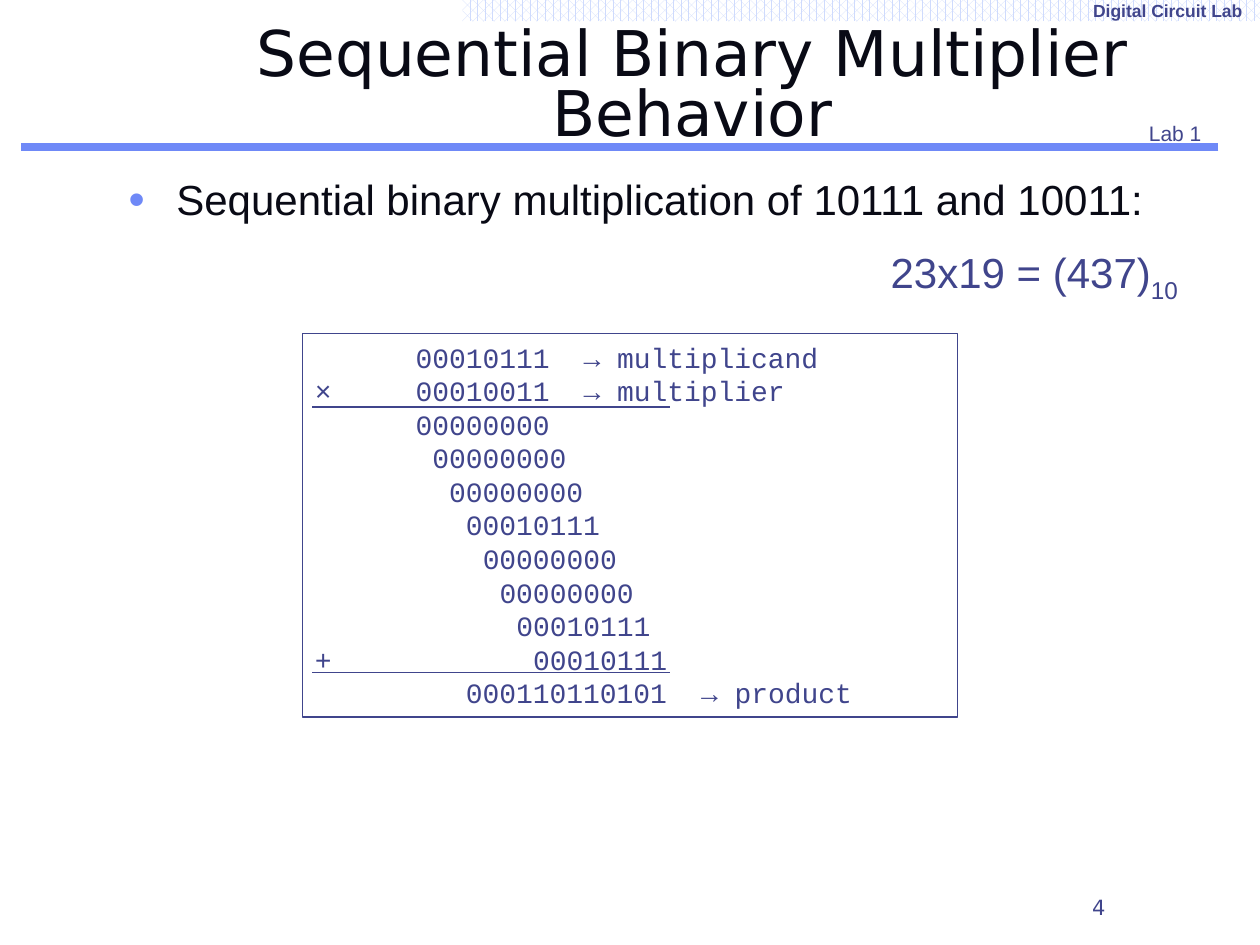
from dataclasses import dataclass

from lxml.etree import SubElement
from pptx import Presentation
from pptx.dml.color import RGBColor
from pptx.enum.dml import MSO_PATTERN
from pptx.enum.shapes import MSO_CONNECTOR, MSO_SHAPE
from pptx.enum.text import MSO_ANCHOR as Anchor, MSO_AUTO_SIZE, PP_ALIGN as Align
from pptx.oxml.ns import qn
from pptx.util import Inches, Pt


@dataclass(frozen=True)
class Theme:
    ink: RGBColor = RGBColor.from_string("090A15")
    navy: RGBColor = RGBColor.from_string("40458C")
    blue: RGBColor = RGBColor.from_string("6F89F7")
    pale: RGBColor = RGBColor.from_string("CFDBFD")
    white: RGBColor = RGBColor.from_string("FFFFFF")
    heading_font: str = "DejaVu Sans"
    text_font: str = "Arial"
    code_font: str = "Courier New"
    title_size: int = 36
    body_size: int = 24
    code_size: int = 16
    label_size: int = 12
    band_size: int = 10


THEME = Theme()

# sign, digits, first character column of the digits, note
ROWS = [
    ("", "00010111", 6, "multiplicand"),
    ("×", "00010011", 6, "multiplier"),
    ("", "00000000", 6, ""),
    ("", "00000000", 7, ""),
    ("", "00000000", 8, ""),
    ("", "00010111", 9, ""),
    ("", "00000000", 10, ""),
    ("", "00000000", 11, ""),
    ("", "00010111", 12, ""),
    ("+", "00010111", 13, ""),
    ("", "000110110101", 9, "product"),
]


def style(paragraph, font_name, size, color, bold=False, align=Align.LEFT):
    paragraph.alignment = align
    for run in paragraph.runs:
        run.font.name = font_name
        run.font.size = Pt(size)
        run.font.color.rgb = color
        run.font.bold = bold


def place(shape, box):
    shape.left, shape.top, shape.width, shape.height = map(Inches, box)


def add_line(slide, start, end, color, width):
    line = slide.shapes.add_connector(
        MSO_CONNECTOR.STRAIGHT, *map(Inches, (*start, *end)))
    line.line.color.rgb = color
    line.line.width = Pt(width)
    SubElement(line._element.spPr, qn("a:effectLst"))


def add_label(slide, box, text, font_name, size, anchor=Anchor.TOP, align=Align.LEFT):
    frame = slide.shapes.add_textbox(*map(Inches, box)).text_frame
    frame.word_wrap = True
    frame.vertical_anchor = anchor
    frame.text = text
    style(frame.paragraphs[0], font_name, size, THEME.navy, align=align)
    return frame.paragraphs[0]


def add_band(slide, box):
    band = slide.shapes.add_shape(MSO_SHAPE.RECTANGLE, *map(Inches, box))
    band.shadow.inherit = False
    band.line.fill.background()
    band.fill.patterned()
    band.fill.pattern = MSO_PATTERN.PERCENT_60
    band.fill.fore_color.rgb = THEME.pale
    band.fill.back_color.rgb = THEME.white
    frame = band.text_frame
    frame.word_wrap = False
    frame.margin_right = Inches(0.14)
    frame.vertical_anchor = Anchor.MIDDLE
    frame.text = "Digital Circuit Lab"
    style(frame.paragraphs[0], THEME.text_font, THEME.band_size, THEME.navy,
          bold=True, align=Align.RIGHT)


def fill_title(title, box):
    place(title, box)
    frame = title.text_frame
    frame.auto_size = MSO_AUTO_SIZE.NONE
    frame.vertical_anchor = Anchor.BOTTOM
    frame.text = "Sequential Binary Multiplier Behavior"
    frame.paragraphs[0].line_spacing = 0.8
    style(frame.paragraphs[0], THEME.heading_font, THEME.title_size, THEME.ink,
          align=Align.CENTER)


def fill_body(body, box):
    place(body, box)
    frame = body.text_frame
    frame.auto_size = MSO_AUTO_SIZE.NONE
    frame.text = "Sequential binary multiplication of 10111 and 10011:"
    paragraph = frame.paragraphs[0]
    style(paragraph, THEME.text_font, THEME.body_size, THEME.ink)
    properties = paragraph._p.get_or_add_pPr()
    properties.set("marL", str(Inches(0.38)))
    properties.set("indent", str(-Inches(0.38)))
    bullet_color = SubElement(properties, qn("a:buClr"))
    SubElement(bullet_color, qn("a:srgbClr"), val=str(THEME.blue))
    SubElement(properties, qn("a:buSzPct"), val="110000")
    SubElement(properties, qn("a:buChar"), char="•")


def set_tab_columns(paragraph, columns):
    """Put tab stops at character columns of the monospaced font."""
    character = Pt(THEME.code_size * 0.6)
    tabs = SubElement(paragraph._p.get_or_add_pPr(), qn("a:tabLst"))
    for column in columns:
        SubElement(tabs, qn("a:tab"), pos=str(column * character), algn="l")


def add_calculation(slide, box):
    left, top, _, _ = box
    panel = slide.shapes.add_shape(MSO_SHAPE.RECTANGLE, *map(Inches, box))
    panel.shadow.inherit = False
    panel.fill.solid()
    panel.fill.fore_color.rgb = THEME.white
    panel.line.color.rgb = THEME.navy
    panel.line.width = Pt(0.75)
    frame = panel.text_frame
    frame.vertical_anchor = Anchor.TOP
    frame.text = "\n".join(
        f"{sign}\t{digits}" + (f"\t→ {note}" if note else "")
        for sign, digits, _, note in ROWS)
    for paragraph, (_, digits, column, _) in zip(frame.paragraphs, ROWS):
        style(paragraph, THEME.code_font, THEME.code_size, THEME.navy)
        set_tab_columns(paragraph, (column, column + len(digits) + 2))
    for offset in (0.58, 2.69):
        add_line(slide, (left + 0.08, top + offset), (left + 2.92, top + offset),
                 THEME.navy, 0.75)


def add_decimal_check(slide, box):
    paragraph = add_label(slide, box, "23x19 = (437)", THEME.text_font, THEME.body_size)
    paragraph.add_run().text = "10"
    style(paragraph, THEME.text_font, THEME.body_size, THEME.navy)
    paragraph.runs[-1].font._element.set("baseline", "-25000")


def main():
    presentation = Presentation()
    presentation.slide_width, presentation.slide_height = Inches(10), Inches(7.5)
    slide = presentation.slides.add_slide(presentation.slide_layouts[1])
    add_line(slide, (9.67, 1.17), (0.17, 1.17), THEME.blue, 4.5)
    add_label(slide, (9.02, 0.91, 0.63, 0.3), "Lab 1", THEME.text_font, THEME.label_size)
    add_band(slide, (3.67, 0, 6.33, 0.17))
    fill_title(slide.shapes.title, (1.33, 0.31, 8.33, 0.92))
    fill_body(slide.placeholders[1], (0.92, 1.33, 8.5, 5.67))
    add_label(slide, (7.44, 6.95, 2.56, 0.4), "4", THEME.heading_font,
              THEME.label_size, Anchor.BOTTOM, Align.CENTER)
    add_calculation(slide, (2.4, 2.65, 5.2, 3.04))
    add_decimal_check(slide, (6.97, 1.91, 2.68, 0.5))
    presentation.save("out.pptx")


if __name__ == "__main__":
    main()
